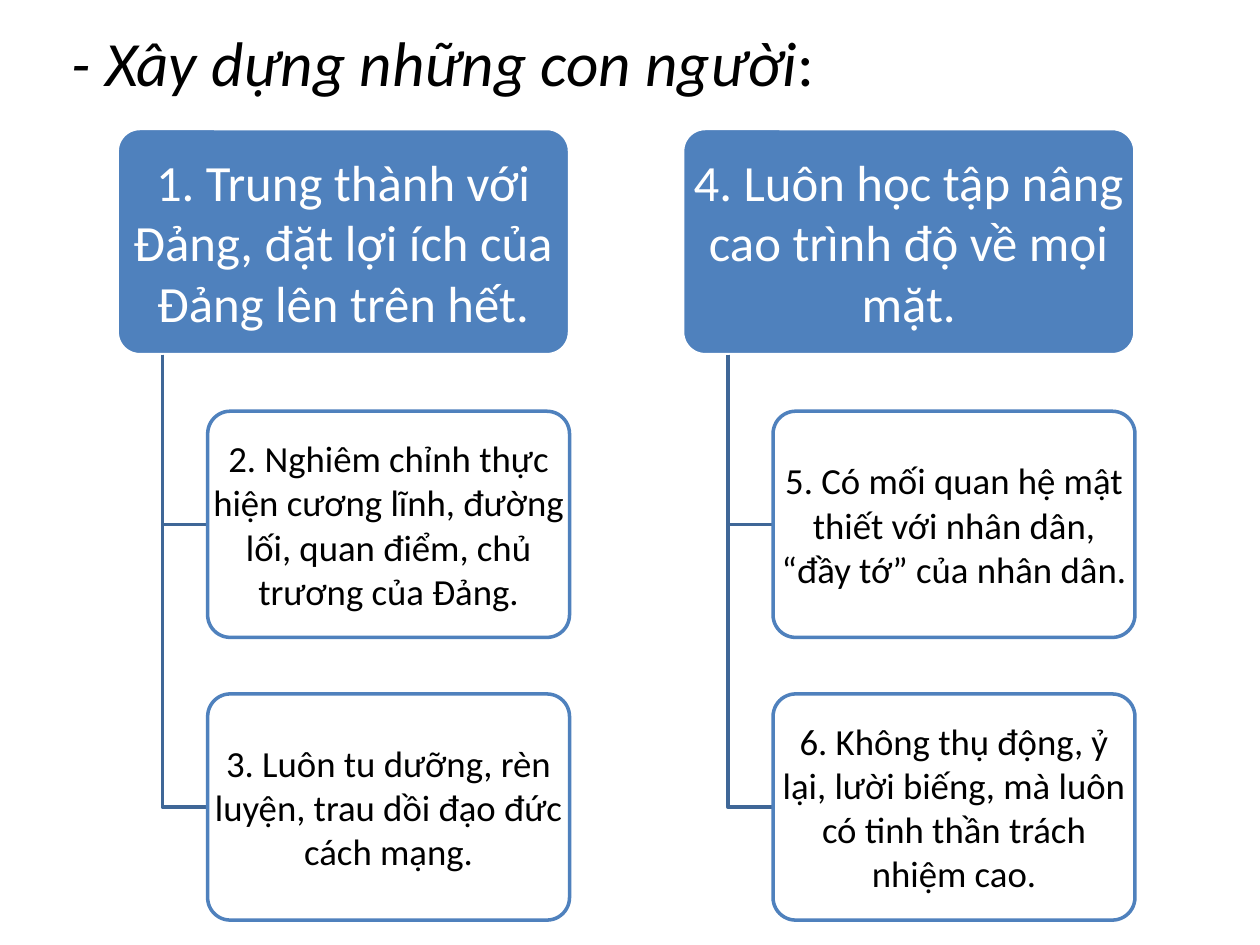
from dataclasses import dataclass

from lxml.etree import SubElement
from pptx import Presentation
from pptx.dml.color import RGBColor
from pptx.enum.shapes import MSO_SHAPE
from pptx.enum.text import MSO_ANCHOR, PP_ALIGN
from pptx.oxml.ns import qn
from pptx.util import Inches, Pt


@dataclass(frozen=True)
class Theme:
    font: str = "Calibri"
    title_size: int = 36
    lead_size: int = 29
    child_size: int = 21
    blue: str = "4F81BD"
    link: str = "3F6797"
    white: str = "FFFFFF"
    black: str = "000000"
    line: int = 2
    child_opacity: int = 90


THEME = Theme()

# Grid: cards are twice as wide as high, gaps are a quarter of a side
LEFT, TOP = 0.93, 1.02
CARD_W = 3.59
CARD_H = CARD_W / 2
COLUMN_STEP = CARD_W * 1.25
ROW_STEP = CARD_H * 1.25
INDENT = CARD_W * 0.2
TRUNK = CARD_W * 0.1

TITLE = [("- Xây dựng những con người", True), (":", False)]
BRANCHES = [
    ("1. Trung thành với Đảng, đặt lợi ích của Đảng lên trên hết.",
     ["2. Nghiêm chỉnh thực hiện cương lĩnh, đường lối, quan điểm, chủ trương của Đảng.",
      "3. Luôn tu dưỡng, rèn luyện, trau dồi đạo đức cách mạng."]),
    ("4. Luôn học tập nâng cao trình độ về mọi mặt.",
     ["5. Có mối quan hệ mật thiết với nhân dân, “đầy tớ” của nhân dân.",
      "6. Không thụ động, ỷ lại, lười biếng, mà luôn có tinh thần trách nhiệm cao."]),
]


def color(code):
    return RGBColor.from_string(code)


def add_text(page, area, spans, size, ink, align, insets):
    box = page.shapes.add_textbox(*map(Inches, area))
    frame = box.text_frame
    frame.word_wrap = True
    frame.vertical_anchor = MSO_ANCHOR.MIDDLE
    frame.margin_left = frame.margin_right = Inches(insets[0])
    frame.margin_top = frame.margin_bottom = Inches(insets[1])
    para = frame.paragraphs[0]
    para.alignment = align
    for words, italic in spans:
        span = para.add_run()
        span.text = words
        span.font.name = THEME.font
        span.font.size = Pt(size)
        span.font.italic = italic
        span.font.color.rgb = color(ink)


def add_card(page, area, words, fill, line, size, ink, insets, opacity=100):
    card = page.shapes.add_shape(MSO_SHAPE.ROUNDED_RECTANGLE, *map(Inches, area))
    card.adjustments[0] = 0.1
    card.shadow.inherit = False
    card.fill.solid()
    card.fill.fore_color.rgb = color(fill)
    card.line.color.rgb = color(line)
    card.line.width = Pt(THEME.line)
    if opacity < 100:
        tint = card.fill._xPr.find(qn("a:solidFill"))[0]
        SubElement(tint, qn("a:alpha"), val=str(opacity * 1000))
    # The label spans the whole card, beyond the inset of its rounded corners
    add_text(page, area, [(words, False)], size, ink, PP_ALIGN.CENTER, insets)


def add_elbow(page, start, end):
    # Freeform points are whole numbers, so they are given in EMU
    left, top, right, bottom = map(Inches, (*start, *end))
    builder = page.shapes.build_freeform(left, top)
    builder.add_line_segments([(left, bottom), (right, bottom)], close=False)
    elbow = builder.convert_to_shape()
    elbow.shadow.inherit = False
    elbow.fill.background()
    elbow.line.color.rgb = color(THEME.link)
    elbow.line.width = Pt(THEME.line)


def add_branch(page, left, lead, children):
    add_card(page, (left, TOP, CARD_W, CARD_H), lead, THEME.blue, THEME.white,
             THEME.lead_size, THEME.white, (0.06, 0.04))
    for row, words in enumerate(children, start=1):
        child_left, child_top = left + INDENT, TOP + row * ROW_STEP
        add_elbow(page, (left + TRUNK, TOP + CARD_H),
                  (child_left, child_top + CARD_H / 2))
        add_card(page, (child_left, child_top, CARD_W - INDENT, CARD_H), words,
                 THEME.white, THEME.blue, THEME.child_size, THEME.black,
                 (0.04, 0.03), THEME.child_opacity)


def main():
    deck = Presentation()
    deck.slide_width, deck.slide_height = Inches(10), Inches(7.5)
    page = deck.slides.add_slide(deck.slide_layouts[6])

    # Title
    add_text(page, (0.47, 0.12, 9, 0.73), TITLE, THEME.title_size, THEME.black,
             PP_ALIGN.LEFT, (0.1, 0.05))

    # One column per branch
    for column, (lead, children) in enumerate(BRANCHES):
        add_branch(page, LEFT + column * COLUMN_STEP, lead, children)

    deck.save("out.pptx")


if __name__ == "__main__":
    main()
